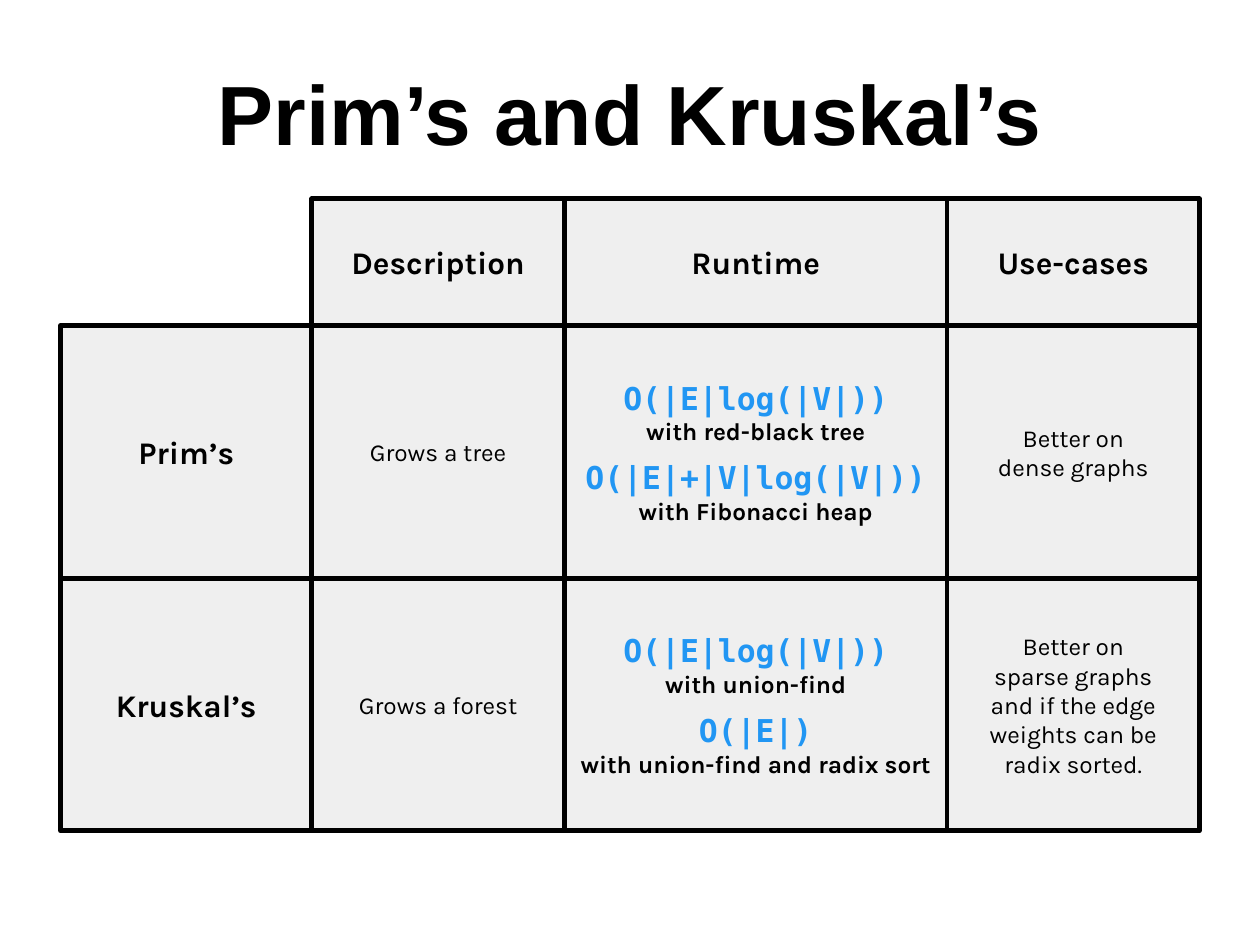
"""Build the slide that compares Prim's and Kruskal's algorithms."""
from dataclasses import dataclass

from lxml import etree
from pptx import Presentation
from pptx import util as u
from pptx.dml.color import RGBColor
from pptx.enum import shapes, text
from pptx.oxml import ns
from pptx.shapes.autoshape import Shape
from pptx.slide import Slide

BLACK = RGBColor(0x00, 0x00, 0x00)
BLUE = RGBColor(0x21, 0x96, 0xF3)
LIGHT_GREY = RGBColor(0xEF, 0xEF, 0xEF)

SLIDE_WIDTH, SLIDE_HEIGHT = 11.03, 8.26
COLUMN_EDGES = (0.53, 2.73, 4.94, 8.29, 10.5)
ROW_EDGES = (1.74, 2.85, 5.06, 7.27)
MARGIN = 0.11
TITLE_MARGIN_TOP = 0.17


@dataclass(frozen=True)
class Style:
    size: float
    font: str = "Karla"
    color: RGBColor = BLACK
    bold: bool = True


@dataclass(frozen=True)
class Line:
    wording: str
    style: Style
    space_before: float = 0


@dataclass(frozen=True)
class Cell:
    column: int
    row: int
    lines: tuple[Line, ...]


TITLE = Style(52.9, "Arial")
HEADING = Style(19.8)
FORMULA = Style(19.8, "DejaVu Sans Mono", BLUE)
CONDITION = Style(15.4)
BODY = Style(15.4, bold=False)


def heading(column: int, row: int, wording: str) -> Cell:
    return Cell(column, row, (Line(wording, HEADING),))


def body(column: int, row: int, *wordings: str) -> Cell:
    return Cell(column, row, tuple(Line(wording, BODY) for wording in wordings))


def runtime(row: int, *bounds: tuple[str, str]) -> Cell:
    lines: list[Line] = []
    for formula, condition in bounds:
        lines.append(Line(formula, FORMULA, 8 if lines else 0))
        lines.append(Line(condition, CONDITION))
    return Cell(2, row, tuple(lines))


CELLS = (
    heading(1, 0, "Description"),
    heading(2, 0, "Runtime"),
    heading(3, 0, "Use-cases"),
    heading(0, 1, "Prim’s"),
    body(1, 1, "Grows a tree"),
    runtime(1, ("O(|E|log(|V|))", "with red-black tree"),
            ("O(|E|+|V|log(|V|))", "with Fibonacci heap")),
    body(3, 1, "Better on", "dense graphs"),
    heading(0, 2, "Kruskal’s"),
    body(1, 2, "Grows a forest"),
    runtime(2, ("O(|E|log(|V|))", "with union-find"),
            ("O(|E|)", "with union-find and radix sort")),
    body(3, 2, "Better on", "sparse graphs", "and if the edge",
         "weights can be", "radix sorted."),
)


def write_lines(shape: Shape, lines: tuple[Line, ...], anchor: text.MSO_ANCHOR,
                margin_top: float = MARGIN) -> None:
    frame = shape.text_frame
    frame.word_wrap = True
    frame.vertical_anchor = anchor
    frame.margin_left = frame.margin_right = frame.margin_bottom = u.Inches(MARGIN)
    frame.margin_top = u.Inches(margin_top)
    for index, line in enumerate(lines):
        paragraph = frame.add_paragraph() if index else frame.paragraphs[0]
        paragraph.text = line.wording
        paragraph.alignment = text.PP_ALIGN.CENTER
        if line.space_before:
            paragraph.space_before = u.Pt(line.space_before)
        paragraph.font.name = line.style.font
        paragraph.font.size = u.Pt(line.style.size)
        paragraph.font.bold = line.style.bold
        paragraph.font.color.rgb = line.style.color


def draw_title(slide: Slide, wording: str) -> None:
    title = slide.shapes.add_textbox(
        0, u.Inches(0.37), u.Inches(SLIDE_WIDTH), u.Inches(1.37))
    write_lines(title, (Line(wording, TITLE),), text.MSO_ANCHOR.TOP, TITLE_MARGIN_TOP)


def draw_cell(slide: Slide, cell: Cell) -> None:
    left, right = COLUMN_EDGES[cell.column:cell.column + 2]
    top, bottom = ROW_EDGES[cell.row:cell.row + 2]
    shape = slide.shapes.add_shape(
        shapes.MSO_SHAPE.RECTANGLE, u.Inches(left), u.Inches(top),
        u.Inches(right - left), u.Inches(bottom - top))
    shape.shadow.inherit = False
    shape.fill.solid()
    shape.fill.fore_color.rgb = LIGHT_GREY
    shape.line.color.rgb = BLACK
    shape.line.width = u.Pt(3)
    outline = shape.element.spPr.find(ns.qn("a:ln"))
    etree.SubElement(outline, ns.qn("a:round"))
    write_lines(shape, cell.lines, text.MSO_ANCHOR.MIDDLE)


def main() -> None:
    presentation = Presentation()
    presentation.slide_width = u.Inches(SLIDE_WIDTH)
    presentation.slide_height = u.Inches(SLIDE_HEIGHT)
    slide = presentation.slides.add_slide(presentation.slide_layouts[6])
    draw_title(slide, "Prim’s and Kruskal’s")
    for cell in CELLS:
        draw_cell(slide, cell)
    presentation.save("out.pptx")


if __name__ == "__main__":
    main()
